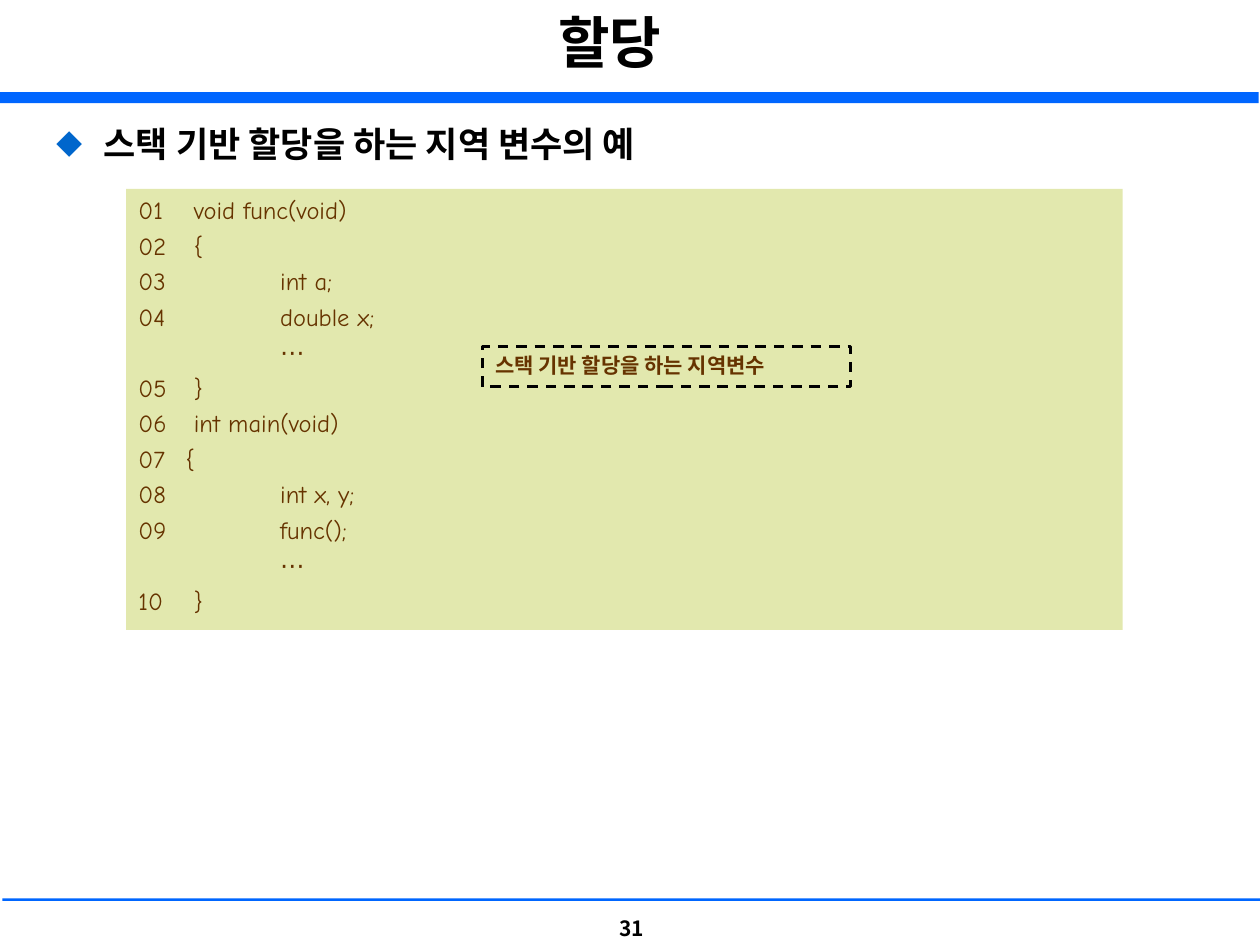
from lxml.etree import SubElement
from pptx import Presentation
from pptx.dml.color import RGBColor
from pptx.enum.dml import MSO_LINE
from pptx.enum.shapes import MSO_SHAPE
from pptx.enum.text import MSO_ANCHOR, PP_ALIGN
from pptx.oxml.ns import qn
from pptx.util import Pt

COLORS = {"black": "000000", "blue": "0066FF", "bullet": "0066CC",
          "brown": "663300", "green": "E2E8AE"}
KOREAN = "Noto Sans CJK KR"
INDENT = Pt(27)

deck = Presentation()
deck.slide_width, deck.slide_height = Pt(720), Pt(540)
page = deck.slides.add_slide(deck.slide_layouts[6])


def add_box(left, top, width, height, fill=None, anchor=MSO_ANCHOR.TOP):
    box = page.shapes.add_shape(MSO_SHAPE.RECTANGLE, Pt(left), Pt(top), Pt(width), Pt(height))
    box.shadow.inherit = False
    box.line.fill.background()
    if fill:
        box.fill.solid()
        box.fill.fore_color.rgb = RGBColor.from_string(COLORS[fill])
    else:
        box.fill.background()
    box.text_frame.word_wrap = True
    box.text_frame.vertical_anchor = anchor
    return box


def write(para, text, size, color, font=KOREAN, bold=True, align=PP_ALIGN.LEFT):
    para.alignment = align
    span = para.add_run()
    span.text = text
    span.font.size = Pt(size)
    span.font.bold = bold
    span.font.name = font
    span.font.color.rgb = RGBColor.from_string(COLORS[color])
    SubElement(span.font._element, qn("a:ea")).set("typeface", KOREAN)


# Rules and page number
add_box(0, 52.6, 719.3, 6.4, "blue")
add_box(1.4, 513.4, 719.3, 1.4, "blue")
number = add_box(330.5, 516.2, 61.2, 28, anchor=MSO_ANCHOR.MIDDLE)
write(number.text_frame.paragraphs[0], "31", 12, "black", align=PP_ALIGN.CENTER)

# Title
title = add_box(24.5, 0.7, 648, 56.2)
write(title.text_frame.paragraphs[0], "할당", 32, "black", align=PP_ALIGN.CENTER)

# Bulleted heading
heading = add_box(25.2, 66.2, 663.1, 442.1)
para = heading.text_frame.paragraphs[0]
write(para, "스택 기반 할당을 하는 지역 변수의 예", 20, "black", "Lato")
properties = para._p.get_or_add_pPr()
properties.set("marL", str(INDENT))
properties.set("indent", str(-INDENT))
bullet_color = SubElement(properties, qn("a:buClr"))
SubElement(bullet_color, qn("a:srgbClr")).set("val", COLORS["bullet"])
SubElement(properties, qn("a:buSzPct")).set("val", "75000")
SubElement(properties, qn("a:buFont")).set("typeface", KOREAN)
SubElement(properties, qn("a:buChar")).set("char", "◆")

# Code listing, with tab stops one indent apart
code_lines = [
    "01\t void func(void)", "02\t {", "03\t\t \tint a;", "04\t\t \tdouble x;",
    "\t\t\t⋯", "05\t }", "06\t int main(void)", "07 \t{",
    "08 \t\t\tint x, y;", "09 \t\t\tfunc();", "\t\t\t⋯", "10\t }",
]
code = add_box(72, 108, 569.5, 252, "green")
for index, line in enumerate(code_lines):
    para = code.text_frame.add_paragraph() if index else code.text_frame.paragraphs[0]
    write(para, line, 14, "brown", "Comic Neue", bold=False)
    para.space_before = Pt(3.5 if index else 0)
    properties = para._p.get_or_add_pPr()
    properties.set("marL", str(INDENT))
    properties.set("indent", str(-INDENT))
    properties.set("defTabSz", str(INDENT))

# Dashed note on the local variables
note = add_box(275.8, 198, 210.2, 23)
note.line.color.rgb = RGBColor.from_string(COLORS["black"])
note.line.width = Pt(1.5)
note.line.dash_style = MSO_LINE.DASH
write(note.text_frame.paragraphs[0], "스택 기반 할당을 하는 지역변수", 12, "brown")

deck.save("out.pptx")
